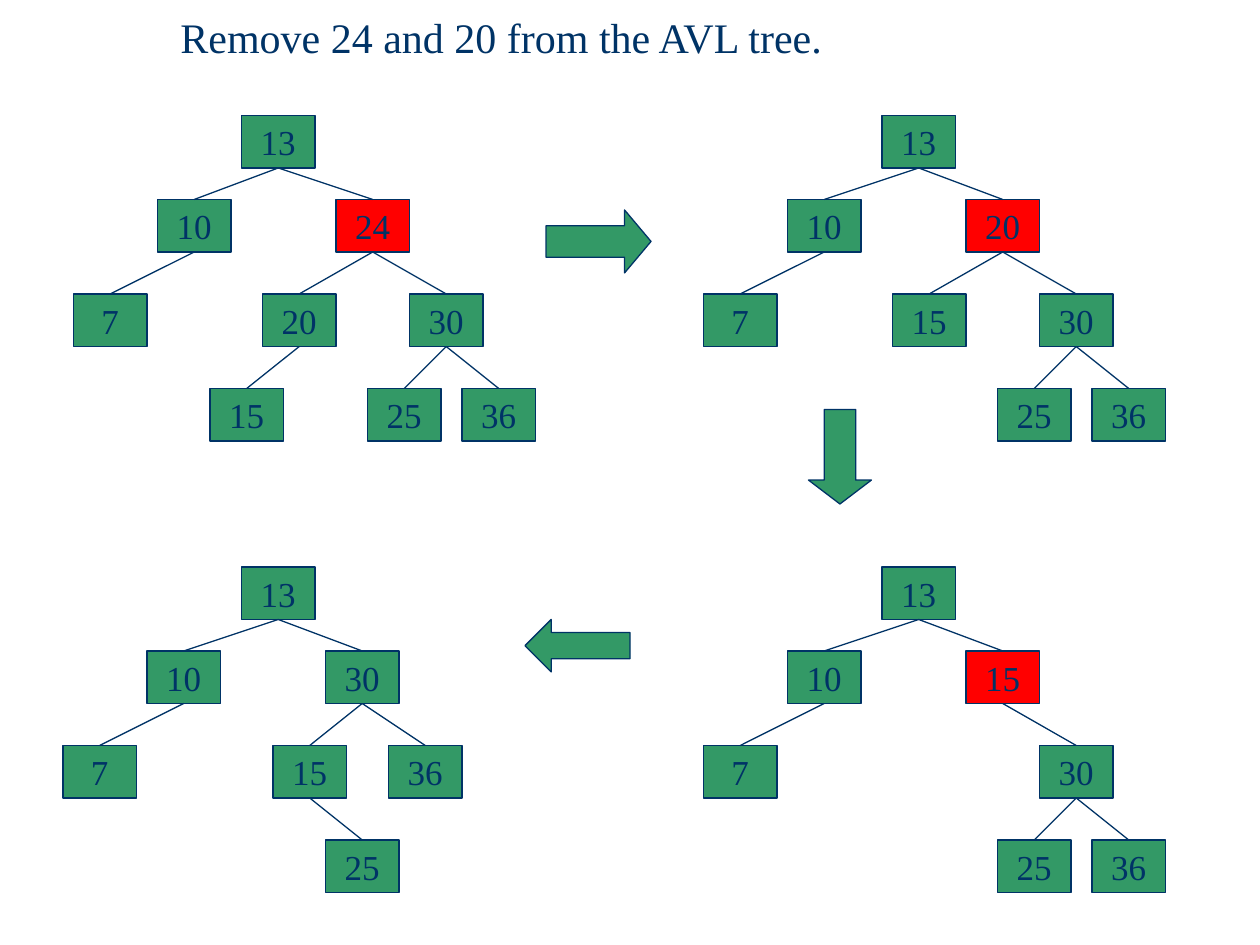
from lxml.etree import SubElement
from pptx import Presentation
from pptx.dml.color import RGBColor
from pptx.enum.shapes import MSO_CONNECTOR, MSO_SHAPE
from pptx.enum.text import MSO_ANCHOR, MSO_AUTO_SIZE, PP_ALIGN
from pptx.oxml.ns import qn
from pptx.util import Cm, Pt

HUES = {"ink": "003366", "node": "339966", "hot": "FF0000"}
STEP = 2.54 / 12
NODE = (7, 5)
ROWS = (0, 8, 17, 26)

FONT = {"name": "Times New Roman", "bold": False}
HEAD = {"margin_left": Cm(1.52), "margin_top": Cm(0.23), "margin_bottom": 0,
        "word_wrap": True, "auto_size": MSO_AUTO_SIZE.NONE,
        "vertical_anchor": MSO_ANCHOR.TOP}
LABEL = {"word_wrap": False, "vertical_anchor": MSO_ANCHOR.MIDDLE}

LEFT = (10, 8, (7, 0))
RIGHT = (30, 32, (25, 28), (36, 37))
TREES = [
    ((7, 11), 24, (13, 16, LEFT, (24, 25, (20, 18, (15, 13)), RIGHT))),
    ((67, 11), 20, (13, 17, LEFT, (20, 25, (15, 18), RIGHT))),
    ((67, 54), 15, (13, 17, LEFT, (15, 25, RIGHT))),
    ((6, 54), None, (13, 17, LEFT, (30, 25, (15, 20, (25, 25)), (36, 31)))),
]
ARROWS = [
    (MSO_SHAPE.RIGHT_ARROW, (52, 20, 10, 6), 0.42),
    (MSO_SHAPE.DOWN_ARROW, (77, 39, 6, 9), 0.38),
    (MSO_SHAPE.LEFT_ARROW, (50, 59, 10, 5), 0.5),
]


def grid(*units):
    return [Cm(n * STEP) for n in units]


def apply(item, form):
    for key, value in form.items():
        setattr(item, key, value)


def tint(name):
    return RGBColor.from_string(HUES[name])


def write(frame, text, size, align):
    frame.text = text
    para = frame.paragraphs[0]
    apply(para, {"alignment": align, "space_before": Pt(0), "line_spacing": 1.0})
    font = para.runs[0].font
    apply(font, {**FONT, "size": Pt(size)})
    font.color.rgb = tint("ink")


def stroke(line):
    line.color.rgb = tint("ink")
    line.width = Pt(0.75)


def block(slide, kind, box, hue):
    shape = slide.shapes.add_shape(kind, *grid(*box))
    shape.shadow.inherit = False
    shape.fill.solid()
    shape.fill.fore_color.rgb = tint(hue)
    stroke(shape.line)
    return shape


def edge(slide, top, low):
    line = slide.shapes.add_connector(MSO_CONNECTOR.STRAIGHT, 0, 0, 0, 0)
    line.begin_connect(top, 2)
    line.end_connect(low, 0)
    stroke(line.line)
    SubElement(line.element.spPr, qn("a:effectLst"))


def tree(slide, spot, hot, node, depth=0):
    key, col, *kids = node
    left, top = spot
    box = (left + col, top + ROWS[depth], *NODE)
    root = block(slide, MSO_SHAPE.RECTANGLE, box, "hot" if key == hot else "node")
    apply(root.text_frame, LABEL)
    write(root.text_frame, str(key), 20, PP_ALIGN.CENTER)
    for kid in kids:
        edge(slide, root, tree(slide, spot, hot, kid, depth + 1))
    return root


def arrow(slide, kind, box, head):
    shape = block(slide, kind, box, "node")
    shape.adjustments[0] = 0.5
    shape.adjustments[1] = head


def title(slide, box):
    shape = slide.shapes.title
    apply(shape, dict(zip(("left", "top", "width", "height"), grid(*box))))
    apply(shape.text_frame, HEAD)
    write(shape.text_frame, "Remove 24 and 20 from the AVL tree.", 24, PP_ALIGN.LEFT)


def main():
    deck = Presentation()
    apply(deck, {"slide_width": Cm(25.4), "slide_height": Cm(19.05)})
    slide = deck.slides.add_slide(deck.slide_layouts[5])
    title(slide, (10, 0, 98, 5))
    for spot, hot, root in TREES:
        tree(slide, spot, hot, root)
    for kind, box, head in ARROWS:
        arrow(slide, kind, box, head)
    deck.save("out.pptx")


if __name__ == "__main__":
    main()
